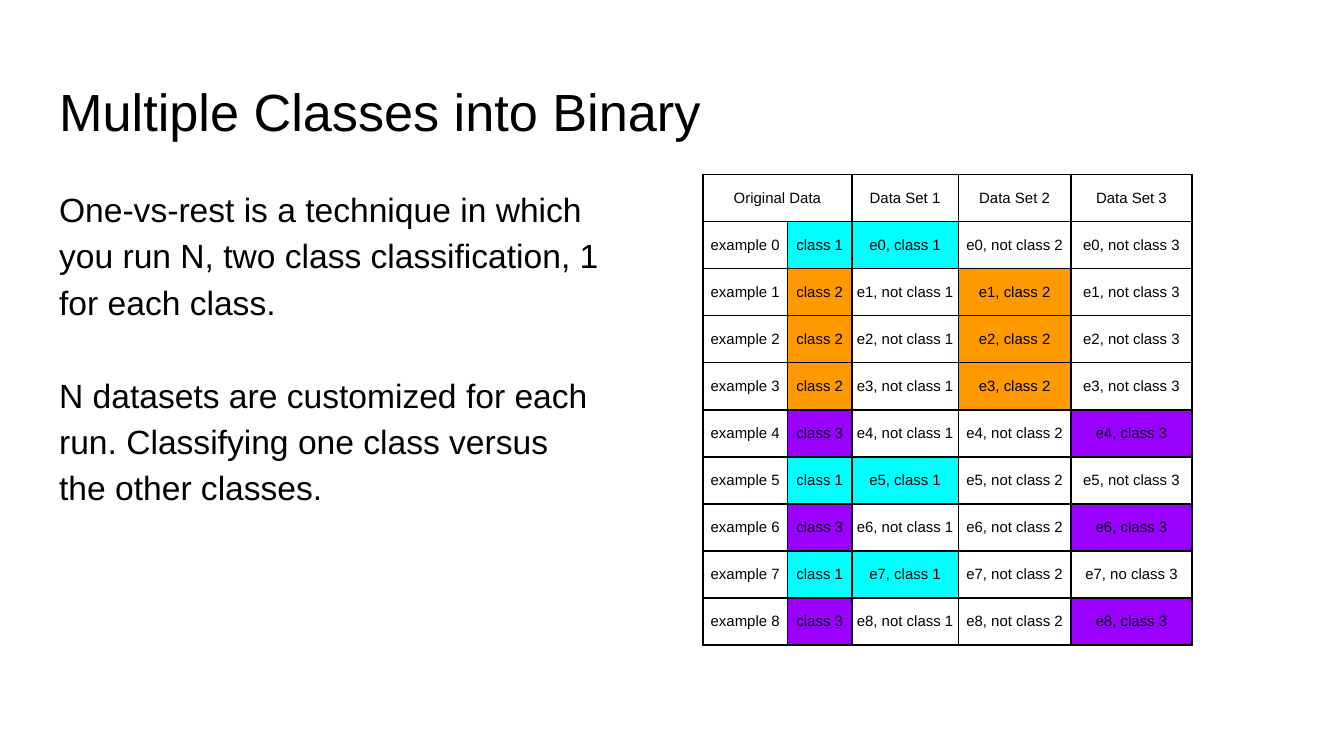
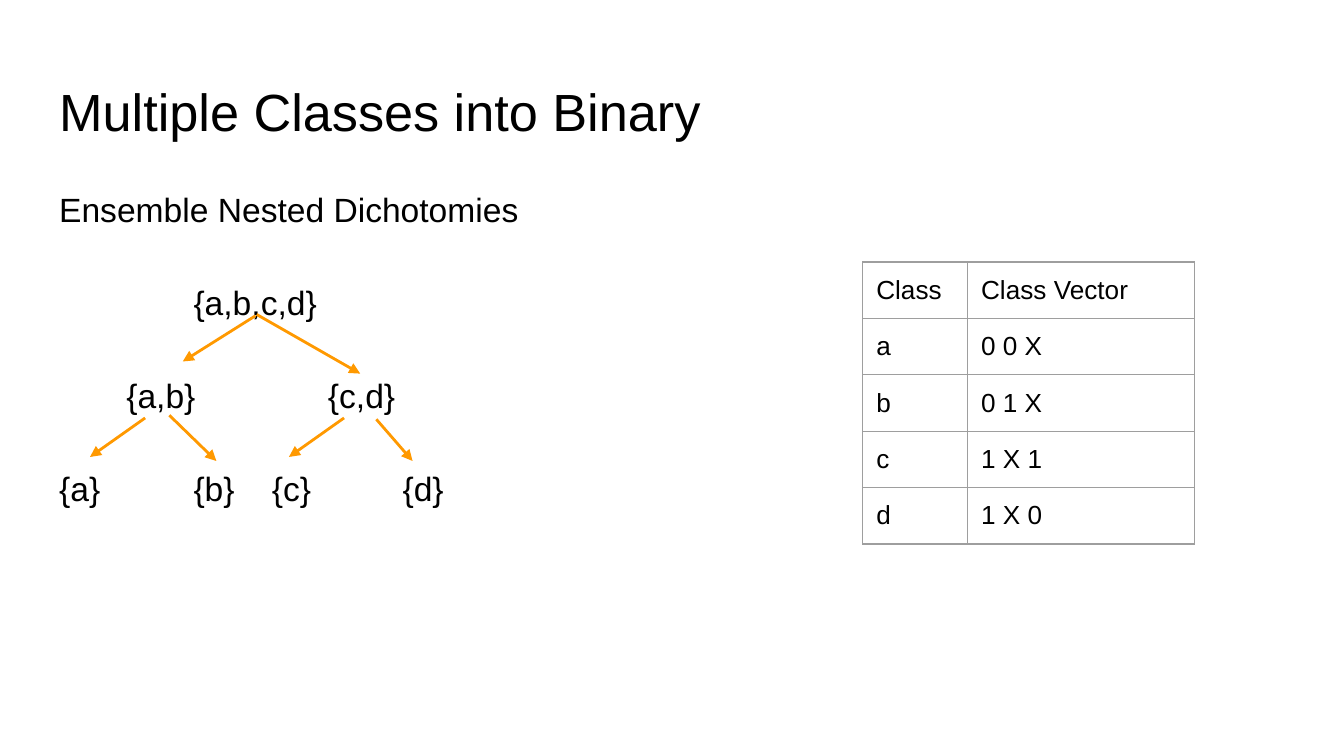
from dataclasses import dataclass

from lxml.etree import SubElement
from pptx import Presentation
from pptx.dml.color import RGBColor
from pptx.enum.shapes import MSO_CONNECTOR
from pptx.enum.text import MSO_ANCHOR, MSO_AUTO_SIZE, PP_ALIGN
from pptx.oxml.ns import qn
from pptx.util import Inches, Pt


@dataclass(frozen=True)
class Theme:
    font: str = "Arial"
    text: str = "000000"
    accent: str = "FF9900"
    grid_dark: str = "000000"
    grid_light: str = "9E9E9E"
    class_fills: tuple = ("00FFFF", "FF9900", "9900FF")
    title_size: float = 28
    body_size: float = 18
    table_size: float = 14
    small_size: float = 8
    line_spacing: float = 1.15
    paragraph_gap: float = 25
    arrow_width: float = 1.5
    border_width: float = 0.75
    inset: float = 0.1
    tab_size: float = 1


THEME = Theme()
TITLE = "Multiple Classes into Binary"
ONE_VS_REST = [
    "One-vs-rest is a technique in which you run N, two class classification, 1 for each class.",
    "N datasets are customized for each run. Classifying one class versus the other classes.",
]
EXAMPLE_CLASSES = [1, 2, 2, 2, 3, 1, 3, 1, 3]
CLASS_VECTORS = [
    ("Class", "Class Vector"),
    ("a", "0 0 X"),
    ("b", "0 1 X"),
    ("c", "1 X 1"),
    ("d", "1 X 0"),
]
TREE_LINES = [
    (0, [("Ensemble Nested Dichotomies", 0)]),
    (0, [("\t{a,b,c,d}", 0)]),
    (0.5, [("{a,b}\t{c,d}", 0)]),
    (0, [("{a}\t{b}", 0), (" ", 15), ("{c}\t", 0), (" ", 35), ("{d}", 0)]),
]
TREE_ARROWS = [
    ((1.9, 2.35), (1.36, 2.69)),
    ((1.91, 2.34), (2.68, 2.78)),
    ((1.08, 3.11), (0.67, 3.4)),
    ((2.56, 3.11), (2.15, 3.4)),
    ((1.26, 3.09), (1.61, 3.43)),
    ((2.8, 3.12), (3.07, 3.43)),
]


def set_default_tabs(presentation):
    for root in (presentation.element, presentation.slide_master.element):
        for element in root.iter():
            if element.get("defTabSz"):
                element.set("defTabSz", str(Inches(THEME.tab_size)))


def style_font(paragraph, size):
    paragraph.font.name = THEME.font
    paragraph.font.size = Pt(size)
    paragraph.font.color.rgb = RGBColor.from_string(THEME.text)


def place_placeholder(shape, left, top, width, height):
    shape.left, shape.top = Inches(left), Inches(top)
    shape.width, shape.height = Inches(width), Inches(height)
    frame = shape.text_frame
    frame.word_wrap = True
    frame.auto_size = MSO_AUTO_SIZE.NONE
    frame.vertical_anchor = MSO_ANCHOR.TOP
    frame.margin_left = frame.margin_right = Inches(THEME.inset)
    frame.margin_top = frame.margin_bottom = Inches(THEME.inset)
    return frame


def add_titled_slide(presentation):
    slide = presentation.slides.add_slide(presentation.slide_layouts[1])
    frame = place_placeholder(slide.shapes.title, 0.34, 0.49, 9.32, 0.63)
    frame.text = TITLE
    paragraph = frame.paragraphs[0]
    paragraph.alignment = PP_ALIGN.LEFT
    style_font(paragraph, THEME.title_size)
    return slide


def fill_body(slide, width, lines):
    frame = place_placeholder(slide.placeholders[1], 0.34, 1.26, width, 3.74)
    for index, (indent, pieces) in enumerate(lines):
        paragraph = frame.add_paragraph() if index else frame.paragraphs[0]
        paragraph.line_spacing = THEME.line_spacing
        paragraph.space_before = Pt(THEME.paragraph_gap if index else 0)
        properties = paragraph._p.get_or_add_pPr()
        properties.set("marL", "0")
        properties.set("indent", str(Inches(indent)))
        properties.set("defTabSz", str(Inches(THEME.tab_size)))
        SubElement(properties, qn("a:buNone"))
        style_font(paragraph, THEME.body_size)
        for text, spacing in pieces:
            run = paragraph.add_run()
            run.text = text
            if spacing:
                run._r.get_or_add_rPr().set("spc", str(spacing * 100))


def add_borders(cell, color):
    properties = cell._tc.get_or_add_tcPr()
    for side in ("lnL", "lnR", "lnT", "lnB"):
        line = SubElement(properties, qn(f"a:{side}"), w=str(Pt(THEME.border_width)))
        fill = SubElement(line, qn("a:solidFill"))
        SubElement(fill, qn("a:srgbClr"), val=color)


def style_cell(cell, text, size, inset, border, centered, fill):
    cell.text = text
    cell.margin_left = cell.margin_right = Inches(inset)
    cell.margin_top = cell.margin_bottom = Inches(inset)
    cell.vertical_anchor = MSO_ANCHOR.MIDDLE if centered else MSO_ANCHOR.TOP
    add_borders(cell, border)
    if fill:
        cell.fill.solid()
        cell.fill.fore_color.rgb = RGBColor.from_string(fill)
    else:
        cell.fill.background()
    paragraph = cell.text_frame.paragraphs[0]
    paragraph.alignment = PP_ALIGN.CENTER if centered else PP_ALIGN.LEFT
    style_font(paragraph, size)


def add_grid(slide, left, top, widths, row_height, rows, size, inset, border,
             centered=False, fills=None):
    frame = slide.shapes.add_table(
        len(rows), len(widths), Inches(left), Inches(top),
        Inches(sum(widths)), Inches(row_height * len(rows)))
    table = frame.table
    table.first_row = table.horz_banding = False
    for column, width in zip(table.columns, widths):
        column.width = Inches(width)
    for row_index, values in enumerate(rows):
        table.rows[row_index].height = Inches(row_height)
        for column_index, text in enumerate(values):
            fill = (fills or {}).get((row_index, column_index))
            style_cell(table.cell(row_index, column_index), text, size, inset,
                       border, centered, fill)
    return table


def add_arrow(slide, start, end):
    connector = slide.shapes.add_connector(
        MSO_CONNECTOR.STRAIGHT, *(Inches(value) for value in start + end))
    connector.line.color.rgb = RGBColor.from_string(THEME.accent)
    connector.line.width = Pt(THEME.arrow_width)
    SubElement(connector.line._get_or_add_ln(), qn("a:tailEnd"), type="triangle")
    SubElement(connector._element.spPr, qn("a:effectLst"))


def one_vs_rest_rows():
    rows = [["Original Data", "", "Data Set 1", "Data Set 2", "Data Set 3"]]
    fills = {}
    for example, label in enumerate(EXAMPLE_CLASSES):
        row = [f"example {example}", f"class {label}"]
        for target in (1, 2, 3):
            negation = "" if target == label else "not "
            row.append(f"e{example}, {negation}class {target}")
        rows.append(row)
        for column in (1, label + 1):
            fills[example + 1, column] = THEME.class_fills[label - 1]
    rows[8][4] = "e7, no class 3"
    return rows, fills


def build_one_vs_rest(presentation):
    slide = add_titled_slide(presentation)
    fill_body(slide, 4.22, [(0, [(text, 0)]) for text in ONE_VS_REST])
    rows, fills = one_vs_rest_rows()
    table = add_grid(slide, 5.23, 1.3, [0.63, 0.48, 0.79, 0.84, 0.9], 0.35, rows,
                     THEME.small_size, 0, THEME.grid_dark, True, fills)
    table.cell(0, 0).merge(table.cell(0, 1))


def build_nested_dichotomies(presentation):
    slide = add_titled_slide(presentation)
    fill_body(slide, 9.32, TREE_LINES)
    for start, end in TREE_ARROWS:
        add_arrow(slide, start, end)
    add_grid(slide, 6.42, 1.95, [0.78, 1.69], 0.42, CLASS_VECTORS,
             THEME.table_size, THEME.inset, THEME.grid_light)


def main():
    presentation = Presentation()
    presentation.slide_width = Inches(10)
    presentation.slide_height = Inches(10 * 9 / 16)
    set_default_tabs(presentation)
    build_one_vs_rest(presentation)
    build_nested_dichotomies(presentation)
    presentation.save("out.pptx")


if __name__ == "__main__":
    main()
